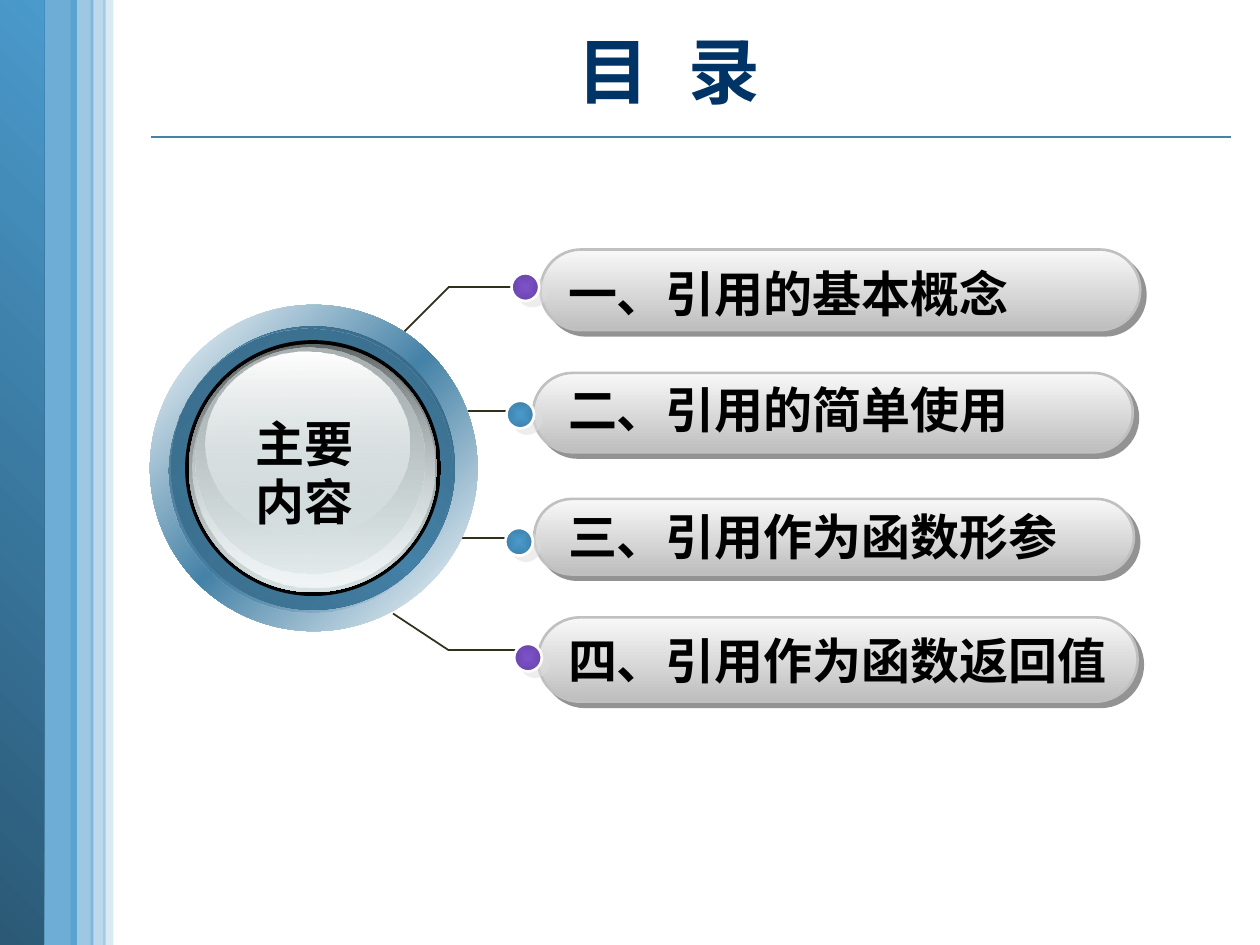
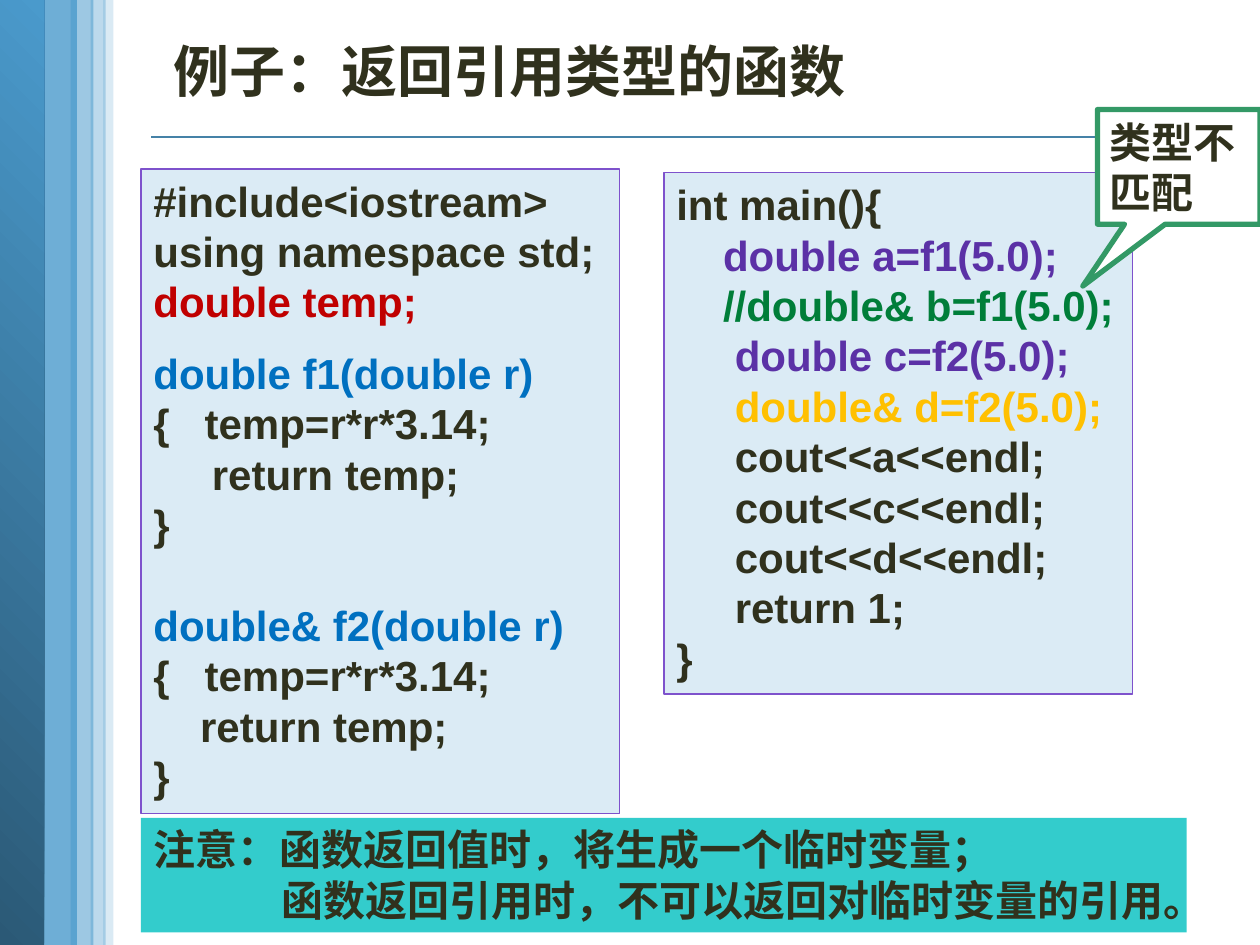
from itertools import pairwise
from lxml.etree import SubElement
from pptx import Presentation
from pptx.dml.color import RGBColor
from pptx.enum.shapes import MSO_CONNECTOR, MSO_SHAPE as SHAPE
from pptx.enum.text import MSO_ANCHOR as ANCHOR, PP_ALIGN as ALIGN
from pptx.oxml.ns import qn
from pptx.util import Pt

COLOURS = {
    "ink": "30311D", "black": "000000", "white": "FFFFFF", "navy": "003366",
    "sky": "4A9ACC", "deep_sky": "3E81AB", "slate": "2B5976", "steel": "4582A7",
    "dark_steel": "356480", "mid_steel": "396B89", "violet": "7E52CC",
    "deep_violet": "6A45AB", "pill_top": "F8F8F8", "pill_base": "BEBEBE",
    "pill_edge": "C0C0C0", "pill_shade": "292929", "dot_shade": "DDDDDD",
    "smoke": "636869", "ash": "AAB2B3", "mist": "D6E1E2", "pale": "F1F5F5",
    "panel": "DBEBF5", "teal": "33CCCC", "green_edge": "339966",
    "red": "C00000", "blue": "0070C0", "purple": "5B31A6", "green": "007E39",
    "amber": "FFC000",
}
WIDTH, HEIGHT = 720, 540
LINE_RATIO = 1.2

# Shared frame: left, width, opacity of each pale band
BANDS = [(21.6, 22.3, 80), (59, 5.8, 20), (40.3, 13, 54), (51.8, 8.6, 37)]

# Contents slide: text, text top, pill (left, top, height), dot (left, top), dot colours
VIOLET_DOT, SKY_DOT = ("violet", "deep_violet"), ("sky", "deep_sky")
TOPICS = [
    ("一、引用的基本概念", 146.9, (308.9, 142.6, 46.1), (292.3, 156.2), VIOLET_DOT),
    ("二、引用的简单使用", 213.1, (304.6, 213.1, 45.4), (289.4, 229), SKY_DOT),
    ("三、引用作为函数形参", 285.8, (305.3, 285.1, 43.2), (288.7, 301.7), SKY_DOT),
    ("四、引用作为函数返回值", 356.4, (307.4, 352.8, 48.2), (293.8, 367.9), VIOLET_DOT),
]
LEADERS = [
    [(229.7, 190.8), (256.3, 164.2), (299.5, 164.2)],
    [(254.2, 234.7), (301.7, 234.7)],
    [(250.6, 307.4), (298.8, 307.4)],
    [(224.6, 350.6), (256.3, 371.5), (299.5, 371.5)],
]
# Glass button: box, gradient stops (position, colour, opacity), angle
RINGS = [
    ((85.7, 174.2, 187.2, 186.5),
     [(0, "white", 100), (50, "steel", 100), (100, "white", 100)], 45),
    ((97.9, 186.5, 162, 162),
     [(0, "dark_steel", 100), (50, "steel", 100), (100, "dark_steel", 100)], 315),
    ((96.5, 187.9, 162, 162), [(0, "mid_steel", 100), (100, "steel", 0)], 45),
    ((105.8, 194.4, 146.2, 146.2), [(0, "black", 100), (100, "black", 100)], 90),
    ((108, 196.6, 141.8, 141.8), [(0, "smoke", 100), (100, "mist", 100)], 90),
    ((110.2, 197.3, 138.2, 138.2), [(0, "mist", 0), (100, "pale", 100)], 90),
    ((111.6, 198.7, 131, 128.9), [(0, "ash", 100), (100, "mist", 48)], 90),
    ((117.4, 200.9, 116.6, 105.1), [(0, "white", 100), (100, "mist", 38)], 90),
]

# Example slide: text, colour, indent, space before
FUNCTIONS = [
    ("#include<iostream>", "ink", 0, 0),
    ("using namespace std;", "ink", 0, 0),
    ("double temp;", "red", 0, 0),
    ("double f1(double r)", "blue", 0, 12),
    ("{\ttemp=r*r*3.14;", "ink", 0, 0),
    ("return temp;", "ink", 33.4, 0),
    ("}", "ink", 0, 0),
    ("double& f2(double r)", "blue", 0, 28.8),
    ("{\ttemp=r*r*3.14;", "ink", 0, 0),
    ("return temp;", "ink", 26.7, 0),
    ("}", "ink", 0, 0),
]
MAIN = [
    ("int main(){", "ink", 0, 0),
    ("double a=f1(5.0);", "purple", 26.7, 0),
    ("//double& b=f1(5.0);", "green", 26.7, 0),
    ("double c=f2(5.0);", "purple", 33.4, 0),
    ("double& d=f2(5.0);", "amber", 33.4, 0),
    ("cout<<a<<endl;", "ink", 33.4, 0),
    ("cout<<c<<endl;", "ink", 33.4, 0),
    ("cout<<d<<endl;", "ink", 33.4, 0),
    ("return 1;", "ink", 33.4, 0),
    ("}", "ink", 0, 0),
]
WARNING = [("类型不匹配", "ink", 0, 0)]
NOTE = [
    ("注意：函数返回值时，将生成一个临时变量；", "ink", 0, 0),
    ("函数返回引用时，不可以返回对临时变量的引用。", "ink", 73.4, 0),
]
BRACE_TAB = 29.3


def rgb(name):
    return RGBColor.from_string(COLOURS[name])


def child(parent, tag, **attrs):
    return SubElement(parent, qn(tag), {key: str(value) for key, value in attrs.items()})


def add_colour(parent, name, opacity):
    colour = child(parent, "a:srgbClr", val=COLOURS[name])
    if opacity < 100:
        child(colour, "a:alpha", val=opacity * 1000)


def add_block(slide, kind, box, fill=None, edge=None, edge_width=1):
    block = slide.shapes.add_shape(kind, *map(Pt, box))
    block.shadow.inherit = False
    if fill:
        block.fill.solid()
        block.fill.fore_color.rgb = rgb(fill)
    if edge:
        block.line.color.rgb = rgb(edge)
        block.line.width = Pt(edge_width)
    else:
        block.line.fill.background()
    return block


def set_gradient(block, stops, angle=None):
    """Linear along the angle, or from the centre outwards without one."""
    block.fill.background()
    plain = block._element.spPr.find(qn("a:noFill"))
    gradient = child(block._element.spPr, "a:gradFill", rotWithShape=1)
    plain.getparent().replace(plain, gradient)
    stop_list = child(gradient, "a:gsLst")
    for position, name, opacity in stops:
        add_colour(child(stop_list, "a:gs", pos=position * 1000), name, opacity)
    if angle is None:
        centre = child(gradient, "a:path", path="shape")
        child(centre, "a:fillToRect", l=50000, t=50000, r=50000, b=50000)
    else:
        child(gradient, "a:lin", ang=angle * 60000, scaled=0)


def set_shadow(block, name, distance, angle):
    effects = block._element.spPr.find(qn("a:effectLst"))
    shadow = child(effects, "a:outerShdw", blurRad=0, dist=Pt(distance),
                   dir=angle * 60000, algn="ctr", rotWithShape=0)
    add_colour(shadow, name, 50)


def add_line(slide, start, end, colour):
    line = slide.shapes.add_connector(
        MSO_CONNECTOR.STRAIGHT, *map(Pt, (*start, *end)))
    line.line.color.rgb = rgb(colour)
    line.line.width = Pt(1)
    child(line._element.spPr, "a:effectLst")


def write(block, lines, size, font="Arial", align=ALIGN.LEFT, anchor=ANCHOR.TOP, wrap=True):
    frame = block.text_frame
    frame.word_wrap = wrap
    frame.vertical_anchor = anchor
    for number, (text, colour, indent, gap) in enumerate(lines):
        paragraph = frame.add_paragraph() if number else frame.paragraphs[0]
        paragraph.add_run().text = text
        paragraph.alignment = align
        paragraph.line_spacing = Pt(size * LINE_RATIO)
        paragraph.space_before = Pt(gap)
        paragraph.font.size = Pt(size)
        paragraph.font.bold = True
        paragraph.font.name = font
        paragraph.font.color.rgb = rgb(colour)
        properties = paragraph._p.get_or_add_pPr()
        defaults = properties.find(qn("a:defRPr"))
        child(defaults, "a:ea", typeface=font)
        if indent:
            properties.set("marL", str(Pt(indent)))
            properties.set("indent", "0")
        if "\t" in text:
            tabs = child(properties, "a:tabLst")
            child(tabs, "a:tab", pos=Pt(BRACE_TAB), algn="l")
            defaults.addprevious(tabs)


def add_text(slide, box, *args, **options):
    write(slide.shapes.add_textbox(*map(Pt, box)), *args, **options)


def add_framed_slide(deck, title, box, colour, size, font, align):
    slide = deck.slides.add_slide(deck.slide_layouts[6])
    add_line(slide, (86.4, 78.5), (703.4, 78.5), "steel")
    for number, (left, width, opacity) in enumerate(BANDS):
        band = add_block(slide, SHAPE.RECTANGLE, (left, 0, width, HEIGHT), "sky")
        solid = band._element.spPr.find(qn("a:solidFill"))
        child(solid[0], "a:alpha", val=opacity * 1000)
        if number == 0:
            edge = add_block(slide, SHAPE.RECTANGLE, (0, 0, 25.2, HEIGHT))
            set_gradient(edge, [(0, "slate", 100), (100, "sky", 100)], 315)
    add_text(slide, box, [(title, colour, 0, 0)], size, font, align, ANCHOR.MIDDLE)
    return slide


deck = Presentation()
deck.slide_width, deck.slide_height = Pt(WIDTH), Pt(HEIGHT)

# Contents
contents = add_framed_slide(deck, "目  录", (69.1, 0, 626.4, 79.9),
                            "navy", 41, "Arial", ALIGN.CENTER)
for points in LEADERS:
    for start, end in pairwise(points):
        add_line(contents, start, end, "ink")

for text, text_top, (left, top, height), dot_corner, dot_colours in TOPICS:
    pill = add_block(contents, SHAPE.ROUNDED_RECTANGLE, (left, top, 342.7, height),
                     edge="pill_edge", edge_width=1.5)
    pill.adjustments[0] = 0.5
    set_gradient(pill, [(0, "pill_top", 100), (100, "pill_base", 100)], 90)
    set_shadow(pill, "pill_shade", 4.2, 45)
    dot = add_block(contents, SHAPE.OVAL, (*dot_corner, 15.8, 15.8),
                    edge="white", edge_width=1.5)
    inner, outer = dot_colours
    set_gradient(dot, [(0, inner, 100), (100, outer, 100)])
    set_shadow(dot, "dot_shade", 5, 37)
    add_text(contents, (317.5, text_top, 342, 41), [(text, "black", 0, 0)], 28,
             anchor=ANCHOR.MIDDLE, wrap=False)

for box, stops, angle in RINGS:
    set_gradient(add_block(contents, SHAPE.OVAL, box), stops, angle)
add_text(contents, (106.6, 232.6, 134.6, 74.9),
         [(word, "black", 0, 0) for word in ("主要", "内容")], 28, align=ALIGN.CENTER)

# Example: functions that return references
example = add_framed_slide(deck, "例子：返回引用类型的函数", (92.2, 18, 627.8, 43.9),
                           "ink", 32, "Noto Sans CJK SC", ALIGN.LEFT)
for code, box in [(FUNCTIONS, (80.6, 96.5, 273.6, 368.6)),
                  (MAIN, (379.4, 98.6, 267.8, 298.1))]:
    panel = add_block(example, SHAPE.RECTANGLE, box, "panel", "violet", 0.75)
    write(panel, code, 24)

callout = add_block(example, SHAPE.RECTANGULAR_CALLOUT, (627.1, 62.6, 92.9, 65.5),
                    "white", "green_edge", 3)
callout.adjustments[0], callout.adjustments[1] = -0.59, 1.04
write(callout, WARNING, 24, anchor=ANCHOR.MIDDLE)

note = add_block(example, SHAPE.RECTANGLE, (80.6, 467.3, 597.6, 65.5), "teal")
write(note, NOTE, 24)

deck.save("out.pptx")
